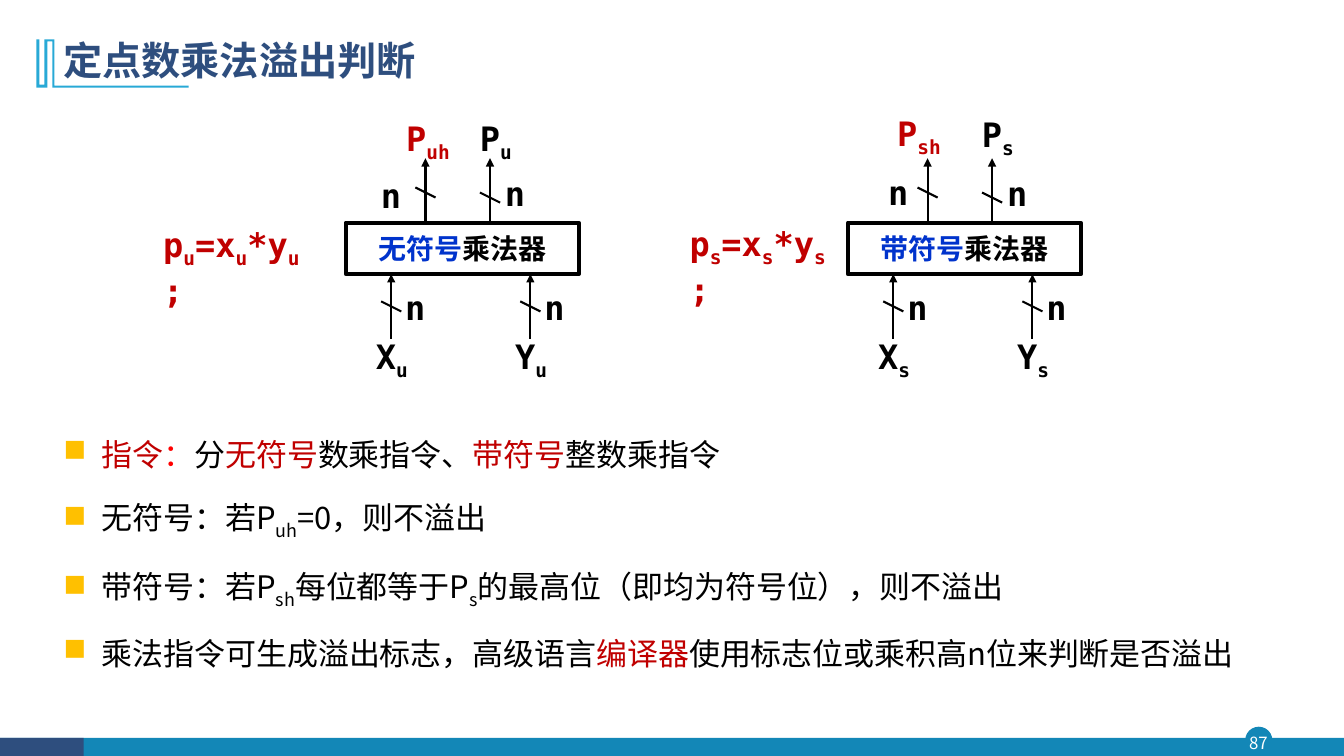
from lxml.etree import SubElement
from pptx import Presentation
from pptx.dml.color import RGBColor
from pptx.enum.shapes import MSO_CONNECTOR, MSO_SHAPE
from pptx.enum.text import MSO_ANCHOR, PP_ALIGN
from pptx.oxml.ns import qn
from pptx.util import Inches, Pt

BLACK = RGBColor(0, 0, 0)
WHITE = RGBColor(0xFF, 0xFF, 0xFF)
CRIMSON = RGBColor(0xC0, 0, 0)
RED = RGBColor(0xFF, 0, 0)
BLUE = RGBColor(0, 0x33, 0xCC)
NAVY = RGBColor(0x2E, 0x4E, 0x7E)
TEAL = RGBColor(0x13, 0x87, 0xB7)
SKY = RGBColor(0x28, 0xA9, 0xD6)
SANS = "Noto Sans CJK SC"
MONO = "DejaVu Sans Mono"
SUB = "sub"

TITLE = "定点数乘法溢出判断"
PAGE = "87"
RULES = [
    [("指令", CRIMSON), ("：", RED), ("分",), ("无符号", CRIMSON),
     ("数乘指令、",), ("带符号", CRIMSON), ("整数乘指令",)],
    [("无符号：若P",), ("uh", SUB), ("=0，则不溢出",)],
    [("带符号：若P",), ("sh", SUB), ("每位都等于P",), ("s", SUB),
     ("的最高位（即均为符号位），则不溢出",)],
    [("乘法指令可生成溢出标志，高级语言",), ("编译器", CRIMSON),
     ("使用标志位或乘积高n位来判断是否溢出",)],
]
MULTIPLIERS = [
    dict(kind="无符号", suffix="u", left=3.43, product_top=1.12,
         high=(0.5, 1.12), high_n=(0.25, 1.69), formula=(-1.91, 2.17)),
    dict(kind="带符号", suffix="s", left=8.41, product_top=1.08,
         high=(0.39, 1.07), high_n=(0.3, 1.66), formula=(-1.67, 2.16)),
]
BOX_TOP, BOX_WIDTH, BOX_HEIGHT = 2.21, 2.31, 0.51
WIRE = 0.64
INPUTS = [("X", 0.45), ("Y", 1.83)]
OUTPUTS = [(0.79, 1.86), (1.43, 1.91)]
EMBLEM = [(54, 39), (54, 85), (187, 85), (187, 87), (52, 87), (52, 41), (47, 41),
          (47, 87), (36, 87), (36, 39), (39, 39), (39, 84), (44, 84), (44, 39)]

deck = Presentation()
deck.slide_width, deck.slide_height = Inches(13.33), Inches(7.5)
slide = deck.slides.add_slide(deck.slide_layouts[6])


def write(paragraph, runs, size, face, color, bold=False):
    font = paragraph.font
    font.size, font.bold, font.name = Pt(size), bold, face
    font.color.rgb = color
    SubElement(paragraph._p.pPr.find(qn("a:defRPr")), qn("a:ea"), typeface=SANS)
    for text, *styles in runs:
        run = paragraph.add_run()
        run.text = text
        for style in styles:
            if style == SUB:
                run._r.get_or_add_rPr().set("baseline", "-25000")
            else:
                run.font.color.rgb = style


def text_frame(left, top, width, height, shapes=slide.shapes):
    frame = shapes.add_textbox(*map(Inches, (left, top, width, height))).text_frame
    frame.word_wrap = True
    return frame


def paint(shape, color):
    shape.shadow.inherit = False
    shape.fill.solid()
    shape.fill.fore_color.rgb = color
    shape.line.fill.background()


def draw_wire(shapes, x1, y1, x2, y2, arrow=False):
    wire = shapes.add_connector(MSO_CONNECTOR.STRAIGHT, *map(Inches, (x1, y1, x2, y2)))
    wire.line.color.rgb = BLACK
    wire.line.width = Pt(1.5)
    if arrow:
        SubElement(wire.line._get_or_add_ln(), qn("a:tailEnd"), type="triangle")
    SubElement(wire._element.spPr, qn("a:effectLst"))


def draw_multiplier(kind, suffix, left, product_top, high, high_n, formula):
    shapes = slide.shapes.add_group_shape().shapes

    def label(runs, x, top, width=0.59, color=BLACK):
        frame = text_frame(left + x, top, width, 0.5, shapes)
        write(frame.paragraphs[0], runs, 24, MONO, color, True)

    def bus(x, bottom, slash_top):
        center = left + x
        draw_wire(shapes, center, bottom, center, bottom - WIRE, arrow=True)
        draw_wire(shapes, center - 0.1, slash_top, center + 0.1, slash_top + 0.1)

    box = shapes.add_shape(MSO_SHAPE.RECTANGLE,
                           *map(Inches, (left, BOX_TOP, BOX_WIDTH, BOX_HEIGHT)))
    box.shadow.inherit = False
    box.fill.background()
    box.line.color.rgb = BLACK
    box.line.width = Pt(3)
    box.text_frame.vertical_anchor = MSO_ANCHOR.MIDDLE
    name = box.text_frame.paragraphs[0]
    name.alignment = PP_ALIGN.CENTER
    write(name, [(kind, BLUE), ("乘法器",)], 20, MONO, BLACK, True)

    sub = (suffix, SUB)
    for operand, x in INPUTS:
        bus(x, BOX_TOP + BOX_HEIGHT + WIRE, 2.99)
        label([("n",)], x + 0.04, 2.8)
        label([(operand,), sub], x - 0.25, 3.28)
    for x, slash_top in OUTPUTS:
        bus(x, BOX_TOP, slash_top)
    label([("n",)], *high_n)
    label([("n",)], 1.48, 1.67)
    label([("P",), sub], 1.23, product_top)
    label([("P",), (suffix + "h", SUB)], *high, width=0.74, color=CRIMSON)
    label([("p",), sub, ("=x",), sub, ("*y",), sub, (";",)],
          *formula, width=1.69, color=CRIMSON)


for preset, area, color in [
    (MSO_SHAPE.OVAL, (12.35, 7.21, 0.27, 0.27), TEAL),
    (MSO_SHAPE.RECTANGLE, (0, 7.32, 13.33, 0.18), TEAL),
    (MSO_SHAPE.RECTANGLE, (0, 7.32, 0.83, 0.18), NAVY),
]:
    paint(slide.shapes.add_shape(preset, *map(Inches, area)), color)

emblem = slide.shapes.build_freeform(*EMBLEM[0], scale=Inches(0.01))
emblem.add_line_segments(EMBLEM[1:])
paint(emblem.convert_to_shape(), SKY)

page = text_frame(12.32, 7.21, 0.32, 0.31)
page.margin_left = page.margin_right = page.margin_top = page.margin_bottom = 0
page.vertical_anchor = MSO_ANCHOR.MIDDLE
page.paragraphs[0].alignment = PP_ALIGN.CENTER
write(page.paragraphs[0], [(PAGE,)], 12, SANS, WHITE)

title = text_frame(0.53, 0.28, 4.38, 0.68)
title.vertical_anchor = MSO_ANCHOR.MIDDLE
title.paragraphs[0].line_spacing = 0.9
write(title.paragraphs[0], [(TITLE,)], 28, SANS, NAVY, True)

body = text_frame(0.53, 4.12, 12.24, 3.06)
for index, rule in enumerate(RULES):
    item = body.add_paragraph() if index else body.paragraphs[0]
    item.alignment = PP_ALIGN.JUSTIFY
    item.line_spacing = 1.4
    if index:
        item.space_before = Pt(7)
    props = item._p.get_or_add_pPr()
    props.set("marL", str(Inches(0.38)))
    props.set("indent", str(-Inches(0.38)))
    SubElement(SubElement(props, qn("a:buClr")), qn("a:srgbClr"), val="FFC000")
    SubElement(props, qn("a:buChar"), char="■")
    write(item, rule, 22.1, SANS, BLACK)

for multiplier in MULTIPLIERS:
    draw_multiplier(**multiplier)

deck.save("out.pptx")
